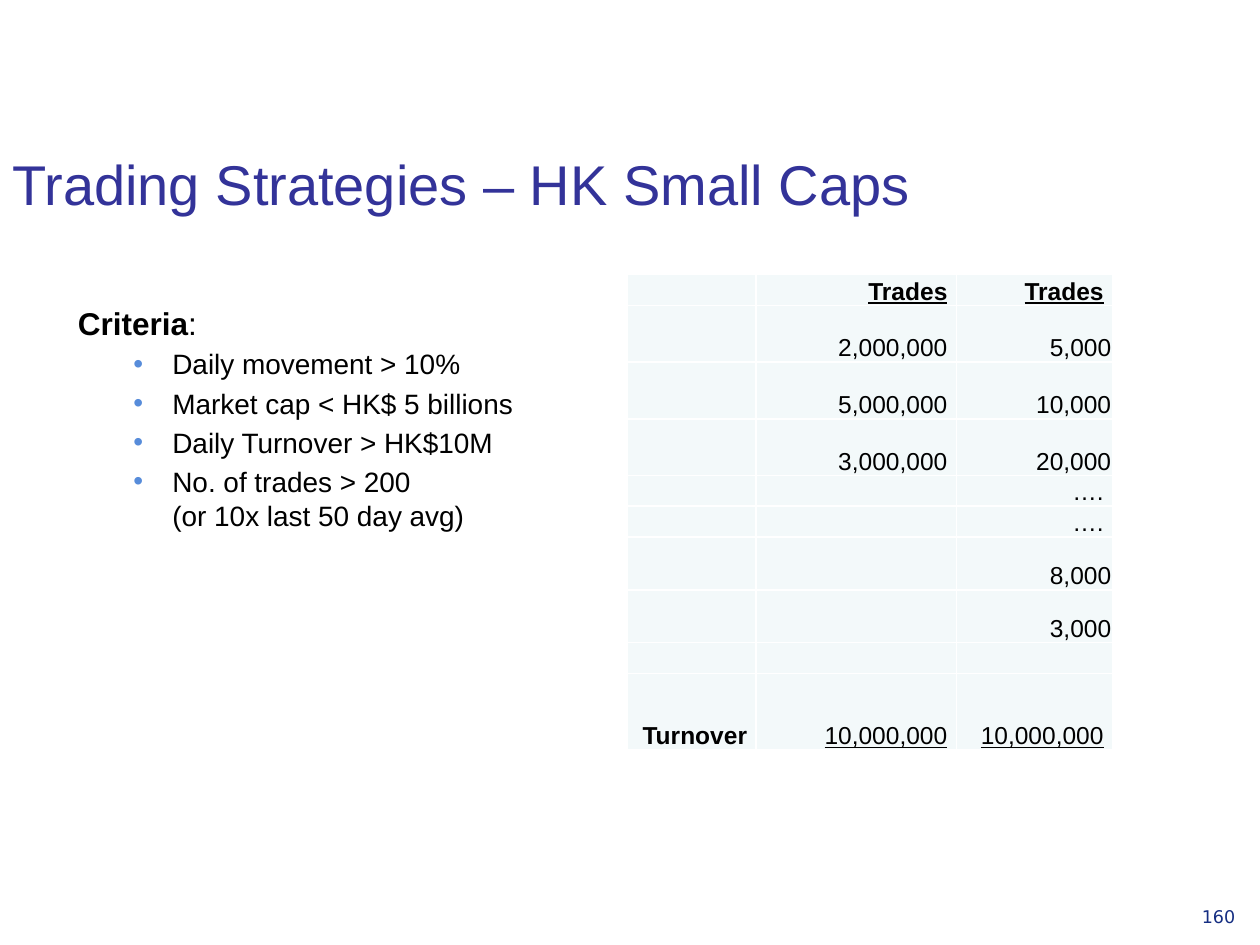
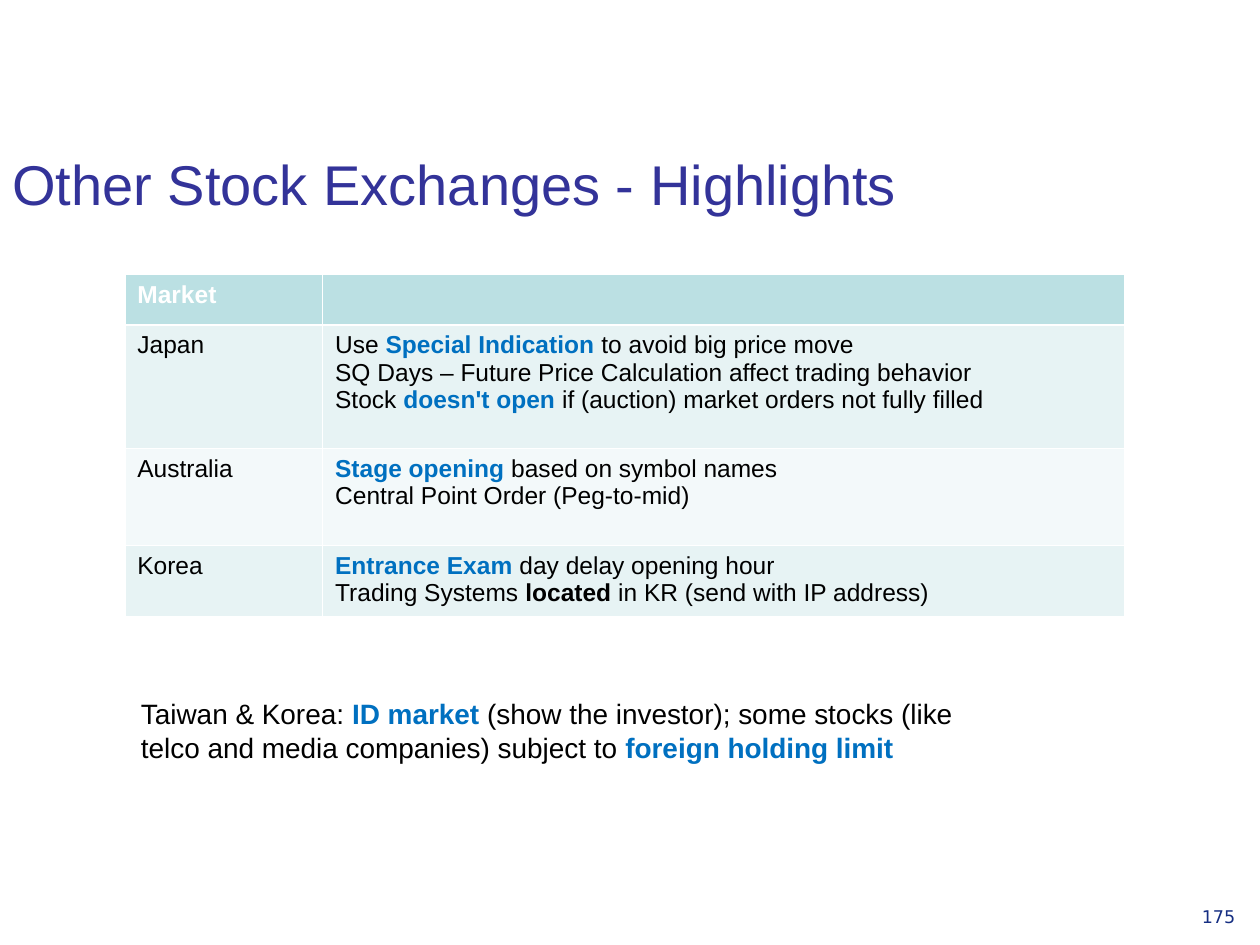
"""Build two slides on trading strategies and stock exchanges."""
from lxml.etree import SubElement
from pptx import Presentation
from pptx.dml.color import RGBColor as Rgb
from pptx.enum.text import MSO_ANCHOR as Anchor, PP_ALIGN as Align
from pptx.oxml.ns import qn
from pptx.util import Inches, Pt

COLORS = {
    "title": "333399",
    "number": "152E82",
    "text": "000000",
    "white": "FFFFFF",
    "accent": "0070C0",
    "bullet": "578CDA",
    "header": "BBE0E3",
    "band": "E7F3F4",
    "pale": "F3F9FA",
}
KEY = {"bold": True, "color": "accent"}
BOLD = {"bold": True}
UNDERLINE = {"underline": True}
HEADING = {"bold": True, "underline": True}

TRADES = [
    ["", ("Trades", HEADING), ("Trades", HEADING)],
    ["", "2,000,000", "5,000"],
    ["", "5,000,000", "10,000"],
    ["", "3,000,000", "20,000"],
    ["", "", "…."],
    ["", "", "…."],
    ["", "", "8,000"],
    ["", "", "3,000"],
    ["", "", ""],
    [("Turnover", BOLD), ("10,000,000", UNDERLINE), ("10,000,000", UNDERLINE)],
]
TRADE_HEIGHTS = [0.24, 0.45, 0.45, 0.45, 0.24, 0.24, 0.42, 0.42, 0.24, 0.61]

MARKETS = [
    ("Japan", 0.98, [
        ["Use ", ("Special Indication ", KEY), "to avoid big price move"],
        ["SQ Days – Future Price Calculation affect trading behavior"],
        ["Stock ", ("doesn't open ", KEY), "if (auction) market orders not fully filled"],
    ]),
    ("Australia", 0.77, [
        [("Stage opening ", KEY), "based on symbol names"],
        ["Central Point Order (Peg-to-mid)"],
    ]),
    ("Korea", 0.54, [
        [("Entrance Exam ", KEY), "day delay opening hour"],
        ["Trading Systems ", ("located", BOLD), " in KR (send with IP address)"],
    ]),
]


def add_text(para, text, size=14, color="text", bold=False, underline=False, font="Arial"):
    """Add one formatted span to a paragraph."""
    span = para.add_run()
    span.text = text
    span.font.name = font
    span.font.size = Pt(size)
    span.font.bold = bold
    span.font.underline = underline
    span.font.color.rgb = Rgb.from_string(COLORS[color])


def add_spans(para, spans, **style):
    """Add plain strings and (text, style) pairs to a paragraph."""
    for span in spans:
        text, extra = (span, {}) if isinstance(span, str) else span
        add_text(para, text, **{**style, **extra})


def add_box(page, left, top, width, height, anchor=Anchor.TOP):
    """Add a wrapping text box and return its frame."""
    frame = page.shapes.add_textbox(
        Inches(left), Inches(top), Inches(width), Inches(height)).text_frame
    frame.word_wrap = True
    frame.vertical_anchor = anchor
    return frame


def add_page(deck, title, number):
    """Add a blank page with its title and page number."""
    page = deck.slides.add_slide(deck.slide_layouts[6])
    number_box = add_box(page, 9.44, 7.14, 0.55, 0.39)
    add_text(number_box.paragraphs[0], number, size=10, color="number", font="DejaVu Sans")
    title_box = add_box(page, 0, 0.68, 8.83, 1.09, Anchor.BOTTOM)
    add_text(title_box.paragraphs[0], title, size=32, color="title")
    return page


def add_bullet(frame, lines):
    """Add an indented bullet paragraph, with breaks between its lines."""
    para = frame.add_paragraph()
    para.space_before = Pt(3.2)
    properties = para._p.get_or_add_pPr()
    properties.set("marL", str(Inches(0.75)))
    properties.set("indent", str(Inches(-0.31)))
    color = SubElement(properties, qn("a:buClr"))
    SubElement(color, qn("a:srgbClr"), val=COLORS["bullet"])
    SubElement(properties, qn("a:buFont"), typeface="Arial")
    SubElement(properties, qn("a:buChar"), char="•")
    for index, line in enumerate(lines):
        if index:
            para.add_line_break()
        add_text(para, line, size=16)


def add_grid(page, left, top, widths, heights, header=False):
    """Add a table with the given column widths and row heights."""
    frame = page.shapes.add_table(
        len(heights), len(widths), Inches(left), Inches(top),
        Inches(sum(widths)), Inches(sum(heights)))
    table = frame.table
    table.first_row = header
    table.horz_banding = False
    for column, width in zip(table.columns, widths):
        column.width = Inches(width)
    for row, height in zip(table.rows, heights):
        row.height = Inches(height)
    return table


def fill_cell(cell, paras, fill, **style):
    """Fill a cell with a colour and one paragraph per list of spans."""
    cell.fill.solid()
    cell.fill.fore_color.rgb = Rgb.from_string(COLORS[fill])
    frame = cell.text_frame
    for index, spans in enumerate(paras):
        para = frame.add_paragraph() if index else frame.paragraphs[0]
        add_spans(para, spans, **style)
    if not paras:
        SubElement(frame.paragraphs[0]._p, qn("a:endParaRPr"), sz="1400")


def add_trades(page):
    """Add the table that compares two sets of trades."""
    table = add_grid(page, 4.98, 2.18, [1.02, 1.59, 1.24], TRADE_HEIGHTS)
    for row, values in enumerate(TRADES):
        for column, value in enumerate(values):
            cell = table.cell(row, column)
            flush = column == 2 and isinstance(value, str) and value != "…."
            cell.margin_left = cell.margin_top = Inches(0.01)
            cell.margin_right = Inches(0.01 if flush else 0.07)
            cell.margin_bottom = 0
            cell.vertical_anchor = Anchor.BOTTOM
            fill_cell(cell, [[value]] if value else [], "pale")
            cell.text_frame.paragraphs[0].alignment = Align.RIGHT


def add_markets(page):
    """Add the table of market highlights."""
    heights = [0.4] + [height for _, height, _ in MARKETS]
    table = add_grid(page, 0.99, 2.18, [1.57, 6.37], heights, header=True)
    fill_cell(table.cell(0, 0), [["Market"]], "header", color="white", bold=True)
    fill_cell(table.cell(0, 1), [], "header")
    for row, (market, _, highlights) in enumerate(MARKETS, start=1):
        fill = "band" if row % 2 else "pale"
        fill_cell(table.cell(row, 0), [[market]], fill)
        fill_cell(table.cell(row, 1), highlights, fill)


def main():
    """Build and save the deck."""
    deck = Presentation()
    deck.slide_width, deck.slide_height = Inches(10), Inches(7.5)

    page = add_page(deck, "Trading Strategies – HK Small Caps", "160")
    criteria = add_box(page, 0.52, 2.36, 4.44, 1.81)
    add_spans(criteria.paragraphs[0], [("Criteria", BOLD), ":"], size=18)
    for lines in (
        ["Daily movement > 10%"],
        ["Market cap < HK$ 5 billions"],
        ["Daily Turnover > HK$10M"],
        ["No. of trades > 200", "(or 10x last 50 day avg)"],
    ):
        add_bullet(criteria, lines)
    add_trades(page)

    page = add_page(deck, "Other Stock Exchanges - Highlights", "175")
    add_markets(page)
    note = add_box(page, 1.02, 5.48, 6.85, 0.91)
    add_spans(note.paragraphs[0], [
        "Taiwan & Korea: ", ("ID market ", KEY),
        "(show the investor); some stocks (like telco and media companies) subject to ",
        ("foreign holding limit", KEY),
    ], size=16)

    deck.save("out.pptx")


if __name__ == "__main__":
    main()
